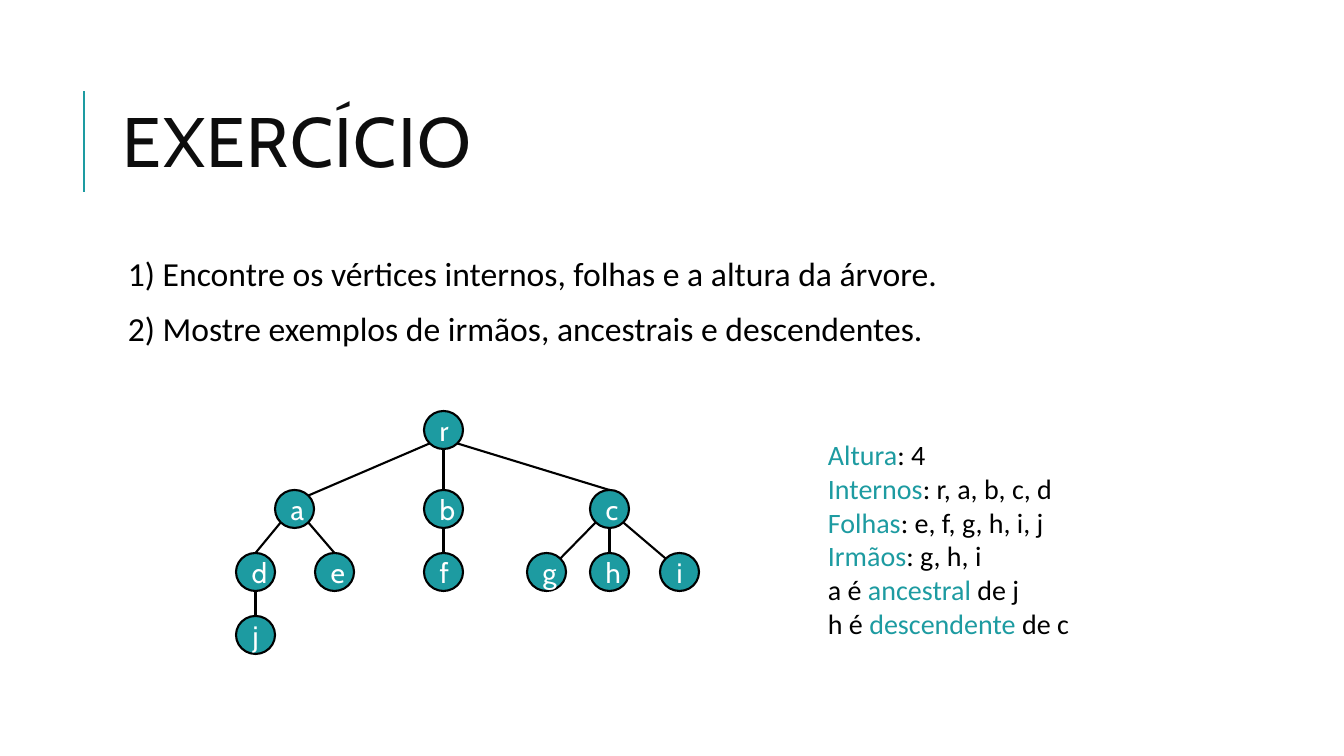
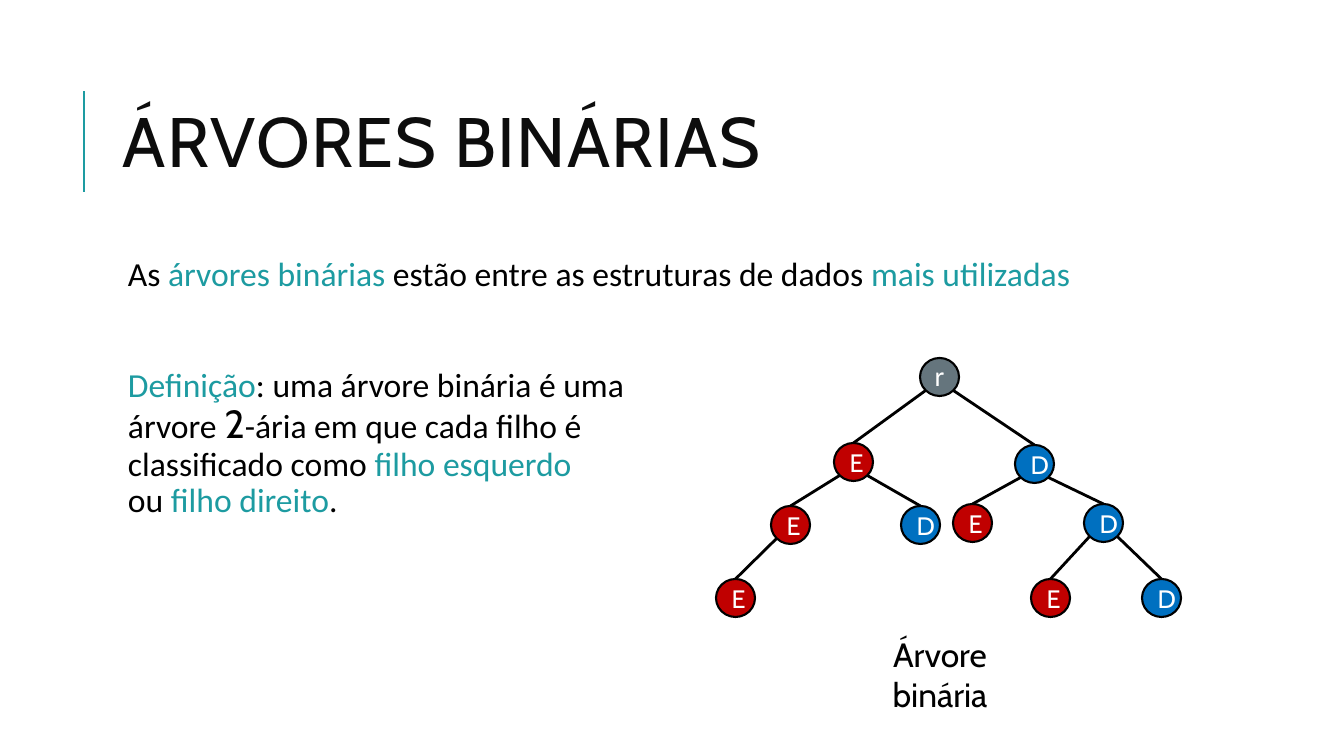
from math import sqrt

from lxml import etree
from pptx import Presentation
from pptx.dml.color import RGBColor
from pptx.enum.shapes import MSO_CONNECTOR, MSO_SHAPE
from pptx.enum.text import MSO_ANCHOR, PP_ALIGN
from pptx.oxml.ns import qn
from pptx.util import Pt

LINE, OVAL = MSO_CONNECTOR.STRAIGHT, MSO_SHAPE.OVAL
CENTER, MIDDLE = PP_ALIGN.CENTER, MSO_ANCHOR.MIDDLE
PX = 914400 / 100.8


class Theme:
    accent = RGBColor.from_string("1D9BA1")
    black = RGBColor.from_string("000000")
    title = RGBColor.from_string("0D0D0D")
    white = RGBColor.from_string("FFFFFF")
    gray = RGBColor.from_string("65757D")
    red = RGBColor.from_string("C00000")
    blue = RGBColor.from_string("0070C0")
    heading_font, body_font = "Cabin", "Calibri"
    title_size, body_size, digit_size = Pt(50), Pt(24), Pt(28)
    label_size, small_label_size = Pt(20), Pt(18)
    thin, thick = Pt(1.5), Pt(2)


def add_text(s, box, paragraphs, size, font, color=Theme.black, wrap=True):
    """Each paragraph is a list of text pieces; *starred* pieces take the accent colour."""
    tf = s.shapes.add_textbox(*[round(v * PX) for v in box]).text_frame
    tf.word_wrap = wrap
    for i, pieces in enumerate(paragraphs):
        p = tf.paragraphs[0] if i == 0 else tf.add_paragraph()
        p.font.size, p.font.name, p.font.color.rgb = size, font, color
        for piece in pieces:
            for n, text in enumerate(piece.strip("*").split("\n")):
                if n:
                    p.add_line_break()
                if text:
                    r = p.add_run()
                    r.text = text
                    if piece.startswith("*"):
                        r.font.color.rgb = Theme.accent
    return tf


def add_line(s, start, end, color, width):
    line = s.shapes.add_connector(LINE, *[round(v * PX) for v in (*start, *end)])
    line.line.color.rgb, line.line.width = color, width
    etree.SubElement(line._element.spPr, qn("a:effectLst"))


prs = Presentation()
prs.slide_width, prs.slide_height = round(1344 * PX), round(756 * PX)

# Titles, body texts and trees. Tree node: x, y, parent, side of the node
# where its edge arrives (-1 upper left, 0 top, 1 upper right)
slides = [
    dict(
        title="EXERCÍCIO",
        body=[["1) Encontre os vértices internos, folhas e a altura da árvore."],
              ["2) Mostre exemplos de irmãos, ancestrais e descendentes."]],
        space_before=Pt(12),
        nodes={
            "r": (424, 411, None, 0),
            "a": (275, 490, "r", 1), "b": (424, 490, "r", 0), "c": (590, 490, "r", 0),
            "d": (236, 553, "a", 0), "e": (315, 553, "a", 0), "f": (424, 553, "b", 0),
            "g": (527, 553, "c", 1), "h": (590, 553, "c", 0), "i": (660, 553, "c", -1),
            "j": (236, 616, "d", 0),
        },
        fills={}, label_size=Theme.label_size, edge_width=Theme.thin),
    dict(
        title="ÁRVORES BINÁRIAS",
        body=[["As ", "*árvores binárias *", "estão entre as estruturas de dados ",
               "*mais utilizadas*"],
              ["*Definição*", ": uma árvore binária é uma\nárvore ", "2",
               "-ária em que cada filho é\nclassificado como ", "*filho esquerdo*",
               "\nou", "* filho direito*", "."]],
        space_before=Pt(52),
        nodes={
            "r": (920, 358, None, 0),
            "E": (834, 443, "r", 0), "D": (1015, 445, "r", 0),
            "EE": (771, 506, "E", 0), "ED": (901, 506, "E", 0),
            "DE": (953, 504, "D", 0), "DD": (1084, 504, "D", 0),
            "EEE": (716, 579, "EE", 0),
            "DDE": (1031, 579, "DD", 0), "DDD": (1142, 579, "DD", 0),
        },
        fills={"r": Theme.gray, "E": Theme.red, "D": Theme.blue},
        label_size=Theme.small_label_size, edge_width=Theme.thick),
]
NODE_W, NODE_H = 39, 38

for content in slides:
    s = prs.slides.add_slide(prs.slide_layouts[6])

    # Title with accent rule
    add_line(s, (84, 192), (84, 91), Theme.accent, Theme.thin)
    tf = add_text(s, (113, 65, 1072, 165), [[content["title"]]],
                  Theme.title_size, Theme.heading_font, Theme.title)
    tf.vertical_anchor = MIDDLE
    p = tf.paragraphs[0]
    p.line_spacing = 0.8
    p.runs[0]._r.get_or_add_rPr().set("spc", "100")

    # Body
    tf = add_text(s, (113, 252, 1072, 444), content["body"],
                  Theme.body_size, Theme.body_font)
    tf.margin_left = round(15 * PX)
    tf.margin_top = tf.margin_right = tf.margin_bottom = round(5 * PX)
    for i, p in enumerate(tf.paragraphs):
        p.line_spacing, p.space_after = 0.9, Pt(2)
        if i:
            p.space_before = content["space_before"]
        for r in p.runs:
            if r.text == "2":
                r.font.size, r.font.name = Theme.digit_size, Theme.heading_font

    # Tree nodes
    nodes = content["nodes"]
    for key, (x, y, parent, side) in nodes.items():
        label = key[-1]
        sp = s.shapes.add_shape(OVAL, *[round(v * PX) for v in (x, y, NODE_W, NODE_H)])
        sp.shadow.inherit = False
        sp.fill.solid()
        sp.fill.fore_color.rgb = content["fills"].get(label, Theme.accent)
        sp.line.color.rgb, sp.line.width = Theme.black, Theme.thin
        tf = sp.text_frame
        tf.vertical_anchor = MIDDLE
        p = tf.paragraphs[0]
        p.text, p.alignment = label, CENTER
        p.font.size, p.font.name = content["label_size"], Theme.heading_font
        p.font.color.rgb = Theme.white
        if content["fills"] and parent is None:
            tf.margin_left = tf.margin_top = tf.margin_right = 0
            tf.margin_bottom = round(4 * PX)
            p.font.size, p.font.name = Theme.label_size, Theme.body_font

    # Tree edges, from the lower rim of the parent to the upper rim of the child
    for x, y, parent, side in nodes.values():
        if parent:
            px, py = nodes[parent][:2]
            leave = (x > px) - (x < px)
            ends = []
            for left, top, dx, dy in ((px, py, leave, 1), (x, y, side, -1)):
                reach = 1 / sqrt(dx * dx + dy * dy)
                ends.append((left + NODE_W / 2 * (1 + dx * reach),
                             top + NODE_H / 2 * (1 + dy * reach)))
            add_line(s, *ends, Theme.black, content["edge_width"])

# Answers beside the first tree
add_text(prs.slides[0], (818, 433, 263, 214),
         [["*Altura*", ": 4"], ["*Internos*", ": r, a, b, c, d"],
          ["*Folhas*", ": e, f, g, h, i, j"], ["*Irmãos*", ": g, h, i"],
          ["a é ", "*ancestral*", " de j"], ["h é ", "*descendente*", " de c"]],
         Theme.label_size, Theme.body_font, wrap=False)

# Caption under the binary tree
tf = add_text(prs.slides[1], (854, 629, 172, 90), [["Árvore binária"]],
              Theme.body_size, Theme.heading_font)
tf.paragraphs[0].alignment = CENTER

prs.save("out.pptx")
